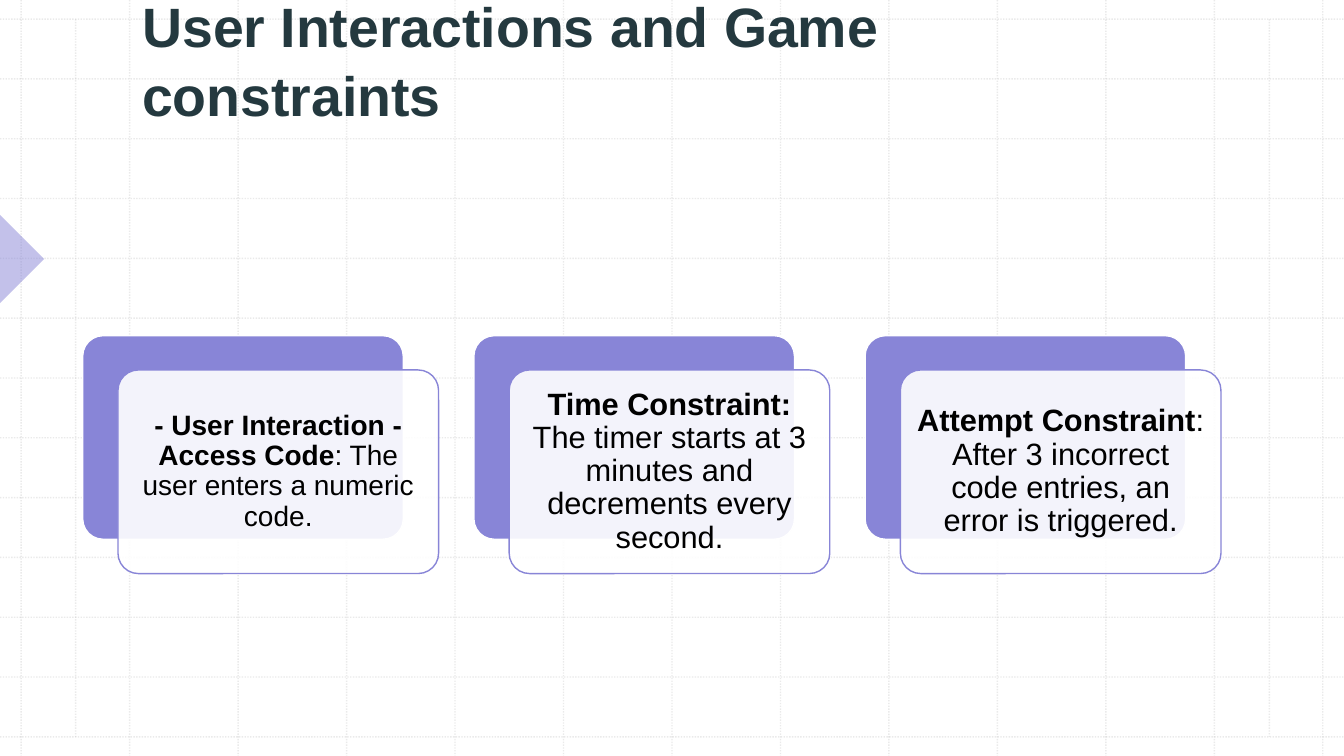
from dataclasses import dataclass

from lxml import etree
from pptx import Presentation
from pptx.dml.color import RGBColor
from pptx.enum.dml import MSO_LINE
from pptx.enum.shapes import MSO_CONNECTOR, MSO_SHAPE
from pptx.enum.text import MSO_ANCHOR, MSO_AUTO_SIZE, PP_ALIGN
from pptx.oxml.ns import qn
from pptx.util import Inches, Pt

LINE = MSO_CONNECTOR.STRAIGHT
DOTS = MSO_LINE.ROUND_DOT
ROUND = MSO_SHAPE.ROUNDED_RECTANGLE
WEDGE = MSO_SHAPE.RIGHT_TRIANGLE
LEFT, CENTER = PP_ALIGN.LEFT, PP_ALIGN.CENTER
MIDDLE, BOTTOM = MSO_ANCHOR.MIDDLE, MSO_ANCHOR.BOTTOM

HUES = {"paper": "FFFFFF", "grid": "BCBCBC", "violet": "8885D7",
        "title": "24393F", "text": "000000"}
FONT = "Arial"
WIDE, HIGH = 13.33, 7.5


@dataclass
class Card:
    head: str
    body: str
    size: int
    inset: float


CARDS = [
    Card("- User Interaction - Access Code",
         ": The user enters a numeric code.", 20, 0.08),
    Card("Time Constraint: ",
         "The timer starts at 3 minutes and decrements every second.", 22, 0.09),
    Card("Attempt Constraint",
         ": After 3 incorrect code entries, an error is triggered.", 22, 0.09),
]


def hue(name: str) -> RGBColor:
    return RGBColor.from_string(HUES[name])


def fade(part, share: int) -> None:
    """Set the opacity, in percent, of the solid fill below an element."""
    color = next(part.iter(qn("a:srgbClr")))
    etree.SubElement(color, qn("a:alpha"), val=str(share * 1000))


def style(item, **values) -> None:
    for key, value in values.items():
        setattr(item, key, value)


def add_rule(shapes, x1: float, y1: float, x2: float, y2: float) -> None:
    rule = shapes.add_connector(LINE, *map(Inches, (x1, y1, x2, y2)))
    rule.line.color.rgb = hue("grid")
    style(rule.line, width=Pt(1), dash_style=DOTS)
    fade(rule.line._get_or_add_ln(), 30)
    etree.SubElement(rule.element.spPr, qn("a:effectLst"))


def add_block(shapes, kind, box: tuple, fill: str, edge: str = "", share: int = 100):
    block = shapes.add_shape(kind, *map(Inches, box))
    block.shadow.inherit = False
    block.fill.solid()
    block.fill.fore_color.rgb = hue(fill)
    if share < 100:
        fade(block.element.spPr, share)
    if edge:
        block.line.color.rgb = hue(edge)
        block.line.width = Pt(1)
    else:
        block.line.fill.background()
    return block


def add_run(para, text: str, size: float, color: str, bold: bool) -> None:
    run = para.add_run()
    run.text = text
    style(run.font, name=FONT, size=Pt(size), bold=bold)
    run.font.color.rgb = hue(color)


def add_card(shapes, card: Card, left: float, top: float) -> None:
    wide, high = 3.18, 2.02
    back = add_block(shapes, ROUND, (left, top, wide, high), "violet", "paper")
    front = add_block(shapes, ROUND, (left + 0.35, top + 0.34, wide, high),
                      "paper", "violet", 90)
    for block in (back, front):
        block.adjustments[0] = 0.1
    pad = Inches(card.inset)
    frame = front.text_frame
    style(frame, word_wrap=True, vertical_anchor=MIDDLE, margin_left=pad,
          margin_right=pad, margin_top=pad, margin_bottom=pad)
    para = frame.paragraphs[0]
    style(para, alignment=CENTER, line_spacing=0.9)
    add_run(para, card.head, card.size, "text", True)
    add_run(para, card.body, card.size, "text", False)


def set_title(title, text: str) -> None:
    style(title, left=Inches(1.31), top=Inches(0.77),
          width=Inches(10.52), height=Inches(1.18))
    frame = title.text_frame
    style(frame, word_wrap=True, auto_size=MSO_AUTO_SIZE.NONE,
          vertical_anchor=BOTTOM, margin_bottom=Inches(0.68))
    para = frame.paragraphs[0]
    style(para, alignment=LEFT, line_spacing=1.05)
    add_run(para, text, 39.6, "title", True)


def main() -> None:
    deck = Presentation()
    style(deck, slide_width=Inches(WIDE), slide_height=Inches(HIGH))
    slide = deck.slides.add_slide(deck.slide_layouts[5])
    shapes = slide.shapes
    slide.background.fill.solid()
    slide.background.fill.fore_color.rgb = hue("paper")

    # Dotted grid with two inner margin lines
    steps = range(13)
    for x in (0.21 + 12.91 / 12 * i for i in steps):
        add_rule(shapes, x, 0, x, HIGH)
    for y in (0.19 + 7.12 / 12 * i for i in steps):
        add_rule(shapes, 0, y, WIDE, y)
    for x in (0.75, 12.59):
        add_rule(shapes, x, 0.19, x, 7.31)

    # Title, raised above the grid
    title = shapes.title
    title.element.getparent().append(title.element)
    set_title(title, "User Interactions and Game constraints")

    # Pointer at the left edge
    wedge = add_block(shapes, WEDGE, (-0.31, 2.26, 0.62, 0.62), "violet", share=50)
    wedge.rotation = 225

    # Row of cards
    for i, card in enumerate(CARDS):
        add_card(shapes, card, 0.82 + 3.88 * i, 3.33)

    deck.save("out.pptx")


if __name__ == "__main__":
    main()
